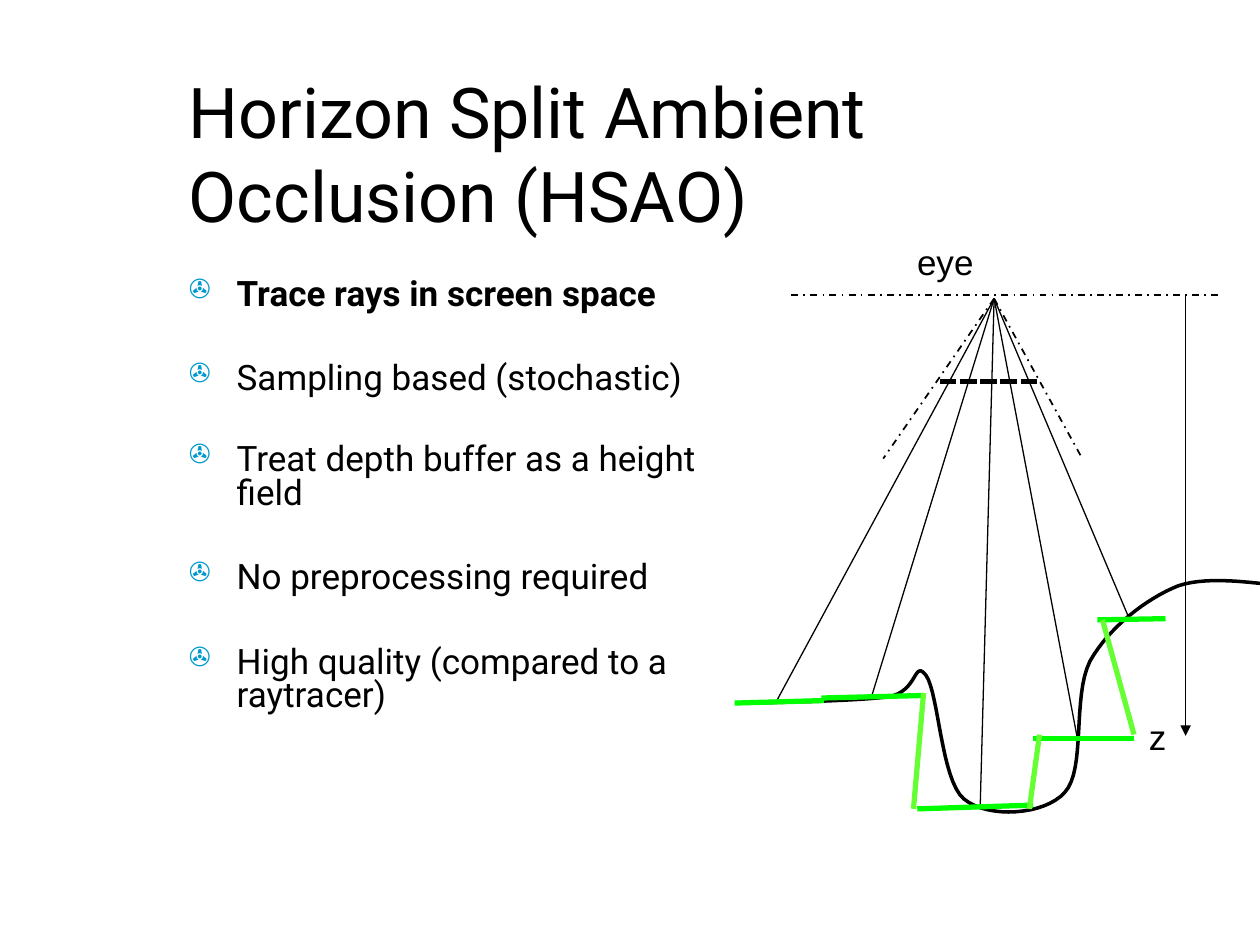
import lxml.etree
import pptx
import pptx.dml.color
import pptx.enum.dml
import pptx.enum.shapes
import pptx.enum.text
import pptx.oxml.ns
import pptx.util

Inches = pptx.util.Inches
Pt = pptx.util.Pt
qn = pptx.oxml.ns.qn
rgb = pptx.dml.color.RGBColor.from_string


def add_text(text, left, top, width, height, size, font):
    sp = s.shapes.add_textbox(Inches(left), Inches(top), Inches(width), Inches(height))
    tf = sp.text_frame
    tf.text = text
    tf.word_wrap = True
    for p in tf.paragraphs:
        p.font.size = Pt(size)
        p.font.name = font
        p.font.color.rgb = rgb("000000")
    return tf


def add_line(x1, y1, x2, y2, color, width):
    sp = s.shapes.add_connector(pptx.enum.shapes.MSO_CONNECTOR.STRAIGHT,
                                Inches(x1), Inches(y1), Inches(x2), Inches(y2))
    sp.line.color.rgb = rgb(color)
    sp.line.width = Pt(width)
    lxml.etree.SubElement(sp._element.spPr, qn("a:effectLst"))
    return sp


prs = pptx.Presentation()
prs.slide_width = Inches(10)
prs.slide_height = Inches(7.5)
s = prs.slides.add_slide(prs.slide_layouts[6])

tf = add_text("Horizon Split Ambient Occlusion (HSAO)", 1.4, 0.42, 7.75, 1.58, 40, "Roboto")
tf.vertical_anchor = pptx.enum.text.MSO_ANCHOR.MIDDLE

bullets = [
    ("Trace rays in screen space", 0),
    ("Sampling based (stochastic)", 29),
    ("Treat depth buffer as a height field", 27),
    ("No preprocessing required", 29),
    ("High quality (compared to a raytracer)", 29),
]
tf = add_text("\n".join(text for text, gap in bullets), 1.4, 2.17, 4.29, 4.67, 20, "Roboto")
for p, (text, gap) in zip(tf.paragraphs, bullets):
    p.line_spacing = 0.8
    p.space_before = Pt(gap)
    p.runs[0].font.size = Pt(20)
    pPr = p._p.get_or_add_pPr()
    pPr.set("marL", str(Inches(0.38)))
    pPr.set("indent", str(Inches(-0.38)))
    buClr = lxml.etree.Element(qn("a:buClr"))
    lxml.etree.SubElement(buClr, qn("a:srgbClr"), val="0099CC")
    buSzPct = lxml.etree.Element(qn("a:buSzPct"), val="75000")
    buChar = lxml.etree.Element(qn("a:buChar"), char="✇")
    for bullet in (buClr, buSzPct, buChar):
        pPr.find(qn("a:defRPr")).addprevious(bullet)
tf.paragraphs[0].runs[0].font.bold = True

surface = [
    (5.95, 5.58), (6.38, 5.57), (6.82, 5.56), (7.05, 5.53),
    (7.29, 5.49), (7.25, 5.23), (7.35, 5.36),
    (7.45, 5.5), (7.47, 6.19), (7.65, 6.34),
    (7.84, 6.5), (8.29, 6.47), (8.45, 6.29),
    (8.62, 6.11), (8.51, 5.53), (8.65, 5.25),
    (8.8, 4.98), (9.1, 4.75), (9.35, 4.65),
    (9.61, 4.56), (10.01, 4.64), (10.21, 4.65),
]
steps = 16
points = []
for i in range(0, len(surface) - 1, 3):
    for k in range(1, steps + 1):
        t = k / steps
        weights = ((1 - t) ** 3, 3 * t * (1 - t) ** 2, 3 * t ** 2 * (1 - t), t ** 3)
        points.append(tuple(Inches(sum(w * pt[axis] for w, pt in zip(weights, surface[i:i + 4])))
                            for axis in (0, 1)))
start_x, start_y = surface[0]
builder = s.shapes.build_freeform(Inches(start_x), Inches(start_y))
builder.add_line_segments(points, close=False)
sp = builder.convert_to_shape()
sp.shadow.inherit = False
sp.fill.background()
sp.line.color.rgb = rgb("000000")
sp.line.width = Pt(2)

for line in [(7.89, 2.37, 7.01, 3.64), (7.89, 2.37, 8.59, 3.64), (6.28, 2.34, 9.69, 2.34)]:
    sp = add_line(*line, "000000", 1)
    sp.line.dash_style = pptx.enum.dml.MSO_LINE.DASH_DOT

for x, y in [(6.16, 5.57), (6.92, 5.52), (7.78, 6.38), (8.56, 5.91), (8.95, 4.88)]:
    add_line(7.89, 2.37, x, y, "000000", 0.75)

for i in range(5):
    x = 7.46 + 0.16 * i
    add_line(x, 3.03, x + 0.13, 3.03, "000000", 3)

for line in [(5.83, 5.58, 6.54, 5.56), (6.52, 5.54, 7.33, 5.52), (7.28, 6.42, 8.2, 6.39),
             (8.2, 5.86, 9, 5.86), (8.71, 4.92, 9.25, 4.91)]:
    add_line(*line, "00FF00", 3)

sp = add_line(9.41, 2.34, 9.41, 5.84, "000000", 0.75)
lxml.etree.SubElement(sp.line._get_or_add_ln(), qn("a:tailEnd"), type="triangle")

add_text("z", 9.02, 5.63, 1.09, 0.44, 20, "Arial")
add_text("eye", 7.18, 1.86, 1.4, 0.44, 20, "Arial")

for line in [(7.33, 5.5, 7.25, 6.42), (8.25, 5.83, 8.17, 6.42), (8.75, 4.92, 9, 5.83)]:
    add_line(*line, "66FF33", 3)

prs.save("out.pptx")
